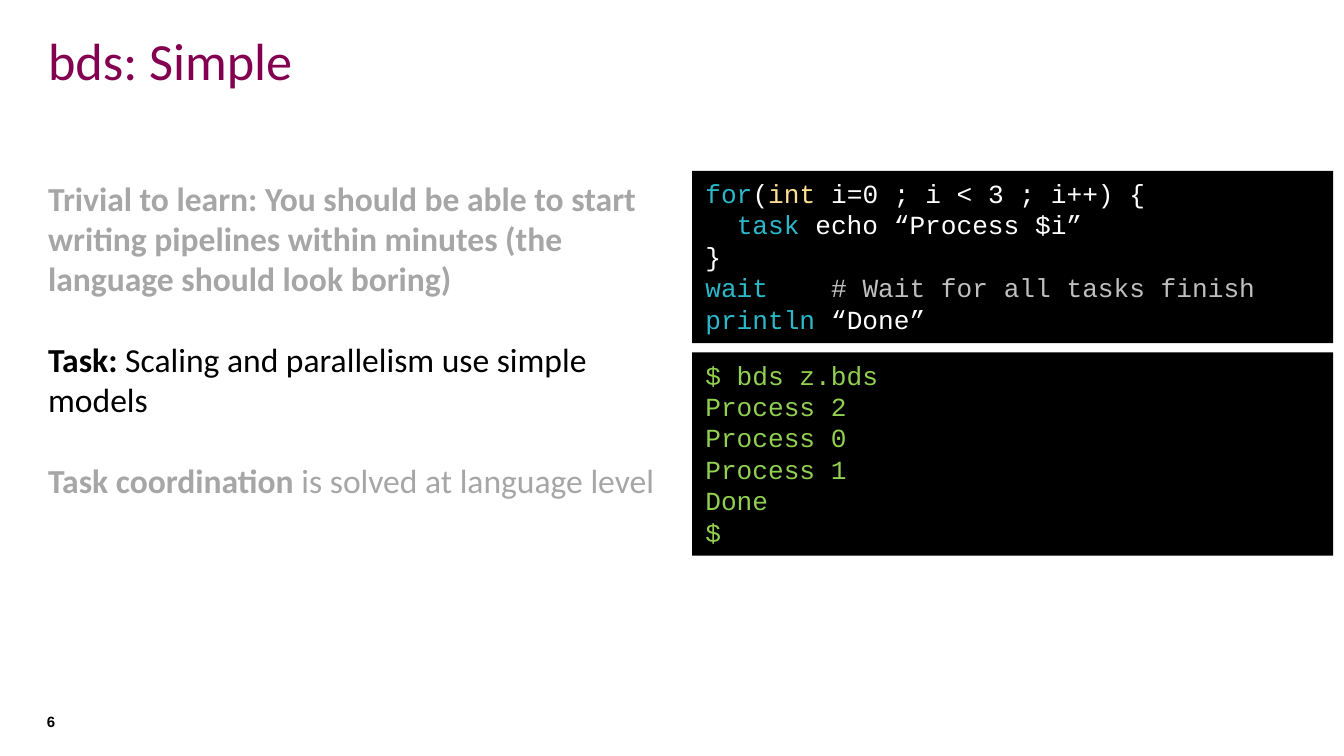
"""Build the "bds: Simple" slide: three claims beside a code panel and its output."""
from dataclasses import dataclass

from pptx import Presentation
from pptx import util as u
from pptx.dml.color import RGBColor
from pptx.enum import shapes, text


@dataclass(frozen=True)
class Theme:
    title: str = "830051"
    ink: str = "000000"
    muted: str = "A6A6A6"
    code: str = "FFFFFF"
    keyword: str = "2BB9CA"
    type_name: str = "FFE093"
    comment: str = "BFBFBF"
    output: str = "92D050"
    sans: str = "Calibri"
    mono: str = "Courier New"
    number: str = "Arial"
    title_size: int = 28
    body_size: int = 18
    code_size: int = 14
    number_size: int = 8
    leading: float = 1.2


@dataclass(frozen=True)
class Box:
    """Position and size as percentages of the slide."""
    x: float
    y: float
    w: float
    h: float


@dataclass(frozen=True)
class Run:
    text: str
    color: str
    bold: bool = False


@dataclass(frozen=True)
class Style:
    font: str
    size: int
    leading: float | None = None
    gap: float = 0


Lines = list[list[Run]]
T = Theme()
WIDTH = u.Inches(10)
HEIGHT = WIDTH * 9 // 16
INSETS = (0.1, 0.05, 0.1, 0.05)
CODE_STYLE = Style(T.mono, T.code_size, T.leading)
COLUMN_TOP = 22.6
PANEL_X, PANEL_W, PANEL_GAP = 51.5, 47.7, 1.24
PANEL_PAD, PANEL_ROW = 2.33, 4.09

CLAIMS: Lines = [
    [Run("Trivial to learn: You should be able to start writing pipelines "
         "within minutes (the language should look boring)", T.muted, True)],
    [Run("Task: ", T.ink, True),
     Run("Scaling and parallelism use simple models", T.ink)],
    [Run("Task coordination", T.muted, True),
     Run(" is solved at language level", T.muted)],
]
CODE: Lines = [
    [Run("for", T.keyword), Run("(", T.code), Run("int ", T.type_name),
     Run("i=0 ; i < 3 ; i++) {", T.code)],
    [Run("  ", T.code), Run("task", T.keyword), Run(" echo “Process $i”", T.code)],
    [Run("}", T.code)],
    [Run("wait    ", T.keyword), Run("# Wait for all tasks finish", T.comment)],
    [Run("println", T.keyword), Run(" “Done”", T.code)],
]
OUTPUT: Lines = [[Run(line, T.output)] for line in
                 ("$ bds z.bds", "Process 2", "Process 0", "Process 1", "Done", "$")]


def place(box: Box) -> tuple[int, int, int, int]:
    """Turn slide percentages into lengths."""
    return (int(WIDTH * box.x / 100), int(HEIGHT * box.y / 100),
            int(WIDTH * box.w / 100), int(HEIGHT * box.h / 100))


def write(sp, lines: Lines, style: Style,
          insets: tuple[float, float, float, float] = INSETS) -> None:
    """Fill a shape with left-aligned lines, run by run."""
    tf = sp.text_frame
    tf.word_wrap = True
    tf.vertical_anchor = text.MSO_ANCHOR.TOP
    tf.margin_left, tf.margin_top, tf.margin_right, tf.margin_bottom = map(u.Inches, insets)
    for i, line in enumerate(lines):
        p = tf.add_paragraph() if i else tf.paragraphs[0]
        p.alignment = text.PP_ALIGN.LEFT
        if style.leading:
            p.line_spacing = u.Pt(style.size * style.leading)
        if i and style.gap:
            p.space_before = u.Pt(style.gap)
        for part in line:
            r = p.add_run()
            r.text = part.text
            r.font.name, r.font.size, r.font.bold = style.font, u.Pt(style.size), part.bold
            r.font.color.rgb = RGBColor.from_string(part.color)


def add_text(s, box: Box, lines: Lines, style: Style,
             insets: tuple[float, float, float, float] = INSETS) -> None:
    """Add a plain text box."""
    write(s.shapes.add_textbox(*place(box)), lines, style, insets)


def add_panel(s, top: float, lines: Lines) -> float:
    """Add a terminal panel sized to its lines and return the next panel's top."""
    height = PANEL_PAD + PANEL_ROW * len(lines)
    box = Box(PANEL_X, top, PANEL_W, height)
    sp = s.shapes.add_shape(shapes.MSO_SHAPE.RECTANGLE, *place(box))
    sp.shadow.inherit = False
    sp.fill.solid()
    sp.fill.fore_color.rgb = RGBColor.from_string(T.ink)
    sp.line.fill.background()
    write(sp, lines, CODE_STYLE)
    return top + height + PANEL_GAP


def main() -> None:
    """Build and save the slide."""
    prs = Presentation()
    prs.slide_width, prs.slide_height = WIDTH, HEIGHT
    s = prs.slides.add_slide(prs.slide_layouts[6])
    add_text(s, Box(2.6, 2.85, 90.6, 9.8), [[Run("bds: Simple", T.title)]],
             Style(T.sans, T.title_size))
    add_text(s, Box(2.6, COLUMN_TOP, 48.9, 61.7), CLAIMS,
             Style(T.sans, T.body_size, T.leading, T.body_size * T.leading))
    add_text(s, Box(3.5, 94.3, 4.3, 3.2), [[Run("6", T.ink, True)]],
             Style(T.number, T.number_size), (0, 0, 0, 0))
    top = COLUMN_TOP
    for lines in (CODE, OUTPUT):
        top = add_panel(s, top, lines)
    prs.save("out.pptx")


if __name__ == "__main__":
    main()
